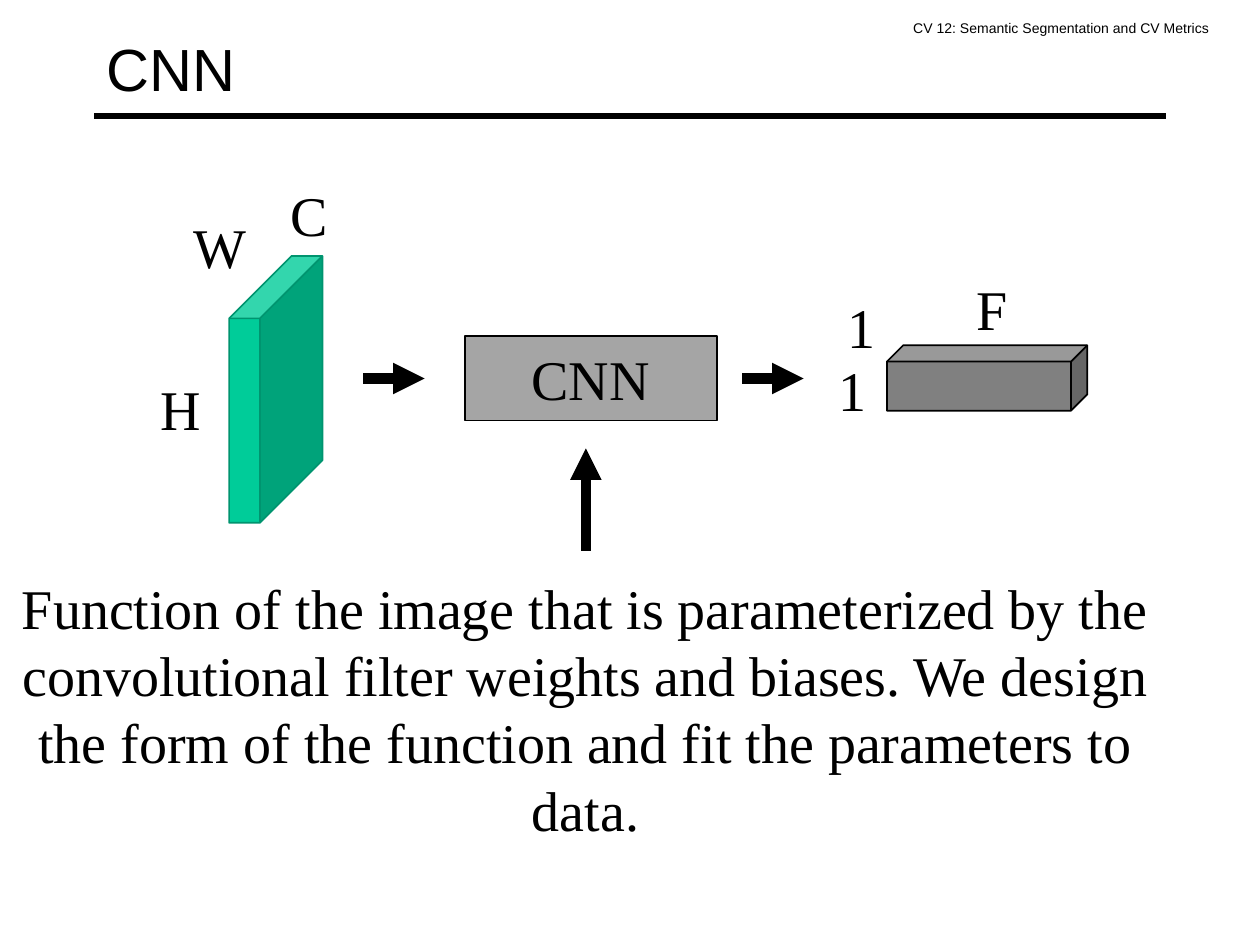
from dataclasses import dataclass
from typing import NamedTuple

from lxml.etree import SubElement
from pptx import Presentation
from pptx.dml.color import RGBColor as Rgb
from pptx.enum.shapes import MSO_CONNECTOR as Link, MSO_SHAPE as Shape
from pptx.enum.text import MSO_ANCHOR as Anchor, PP_ALIGN as Align
from pptx.oxml.ns import qn
from pptx.util import Cm, Pt


@dataclass(frozen=True)
class Theme:
    ink: str = "000000"
    green: str = "00CC99"
    edge: str = "00946F"
    gray: str = "808080"
    pale: str = "A5A5A5"
    sans: str = "Arial"
    serif: str = "Times New Roman"
    small: float = 8
    body: float = 32
    title: float = 34
    thin: float = 1
    rule: float = 3
    thick: float = 6


class Box(NamedTuple):
    x: float
    y: float
    w: float
    h: float

    def inner(self, dx, dy, w, h):
        return Box(self.x + dx, self.y + dy, w, h)

    def cm(self):
        return [Cm(n) for n in self]


THEME = Theme()


def write(shape, text, size=THEME.body, font=THEME.serif, align=Align.CENTER,
          anchor=Anchor.TOP, pad=0.13):
    frame = shape.text_frame
    frame.word_wrap = True
    frame.vertical_anchor = anchor
    frame.margin_left = frame.margin_right = Cm(0.25)
    frame.margin_top = frame.margin_bottom = Cm(pad)
    para = frame.paragraphs[0]
    para.alignment = align
    run = para.add_run()
    run.text = text
    run.font.size = Pt(size)
    run.font.name = font
    run.font.color.rgb = Rgb.from_string(THEME.ink)


def label(shapes, box, text, **style):
    write(shapes.add_textbox(*box.cm()), text, **style)


def solid(shapes, kind, box, fill, edge=THEME.ink):
    shape = shapes.add_shape(kind, *box.cm())
    shape.shadow.inherit = False
    shape.fill.solid()
    shape.fill.fore_color.rgb = Rgb.from_string(fill)
    shape.line.color.rgb = Rgb.from_string(edge)
    shape.line.width = Pt(THEME.thin)
    return shape


def stroke(shapes, start, end, width, head=False):
    line = shapes.add_connector(Link.STRAIGHT, *map(Cm, (*start, *end)))
    line.line.color.rgb = Rgb.from_string(THEME.ink)
    line.line.width = Pt(width)
    props = line._element.spPr
    if head:
        SubElement(props.find(qn("a:ln")), qn("a:tailEnd"), type="triangle")
    SubElement(props, qn("a:effectLst"))


def header(shapes, box, title, note):
    base = box.y + 2.14
    stroke(shapes, (box.x, base), (box.x + box.w, base), THEME.rule)
    label(shapes, box.inner(16.26, 0.03, 6.81, 0.69), note, size=THEME.small,
          font=THEME.sans, align=Align.LEFT, pad=0.25)
    label(shapes, box, title, size=THEME.title, font=THEME.sans,
          align=Align.LEFT, anchor=Anchor.MIDDLE)


def tensor(shapes, box, depth, fill, edge, sides):
    """Group a cube with its side labels, each offset from the cube's corner."""
    group = shapes.add_group_shape().shapes
    cube = solid(group, Shape.CUBE, box, fill, edge)
    cube.adjustments[0] = depth
    for text, dx, dy in sides:
        label(group, box.inner(dx, dy, 1.35, 1.63), text)


def model(shapes, box, name):
    """Draw the model box with arrows into, out of and up to it."""
    write(solid(shapes, Shape.RECTANGLE, box, THEME.pale), name,
          anchor=Anchor.MIDDLE)
    mid = box.y + box.h / 2
    for left in (box.x - 2.05, box.x + box.w + 0.51):
        stroke(shapes, (left, mid), (left + 1.24, mid), THEME.thick, head=True)
    axis, foot = box.x + 2.44, box.y + box.h
    stroke(shapes, (axis, foot + 2.62), (axis, foot + 0.56), THEME.thick,
           head=True)


def main():
    deck = Presentation()
    deck.slide_width, deck.slide_height = Cm(25.4), Cm(19.05)
    shapes = deck.slides.add_slide(deck.slide_layouts[6]).shapes

    header(shapes, Box(1.9, 0.2, 21.6, 2.34), "CNN",
           "CV 12: Semantic Segmentation and CV Metrics")
    tensor(shapes, Box(4.62, 5.16, 1.88, 5.38), 0.67, THEME.green, THEME.edge,
           [("H", -1.65, 2.26), ("W", -0.96, -1), ("C", 0.94, -1.65)])
    tensor(shapes, Box(17.88, 6.96, 4.04, 1.32), 0.25, THEME.gray, THEME.ink,
           [("1", -1.37, 0.08), ("1", -1.19, -1.2), ("F", 1.45, -1.55)])
    model(shapes, Box(9.37, 6.78, 5.08, 1.7), "CNN")
    label(shapes, Box(-0.03, 11.43, 23.67, 5.74),
          "Function of the image that is parameterized by the convolutional "
          "filter weights and biases. We design the form of the function and "
          "fit the parameters to data.")

    deck.save("out.pptx")


if __name__ == "__main__":
    main()
